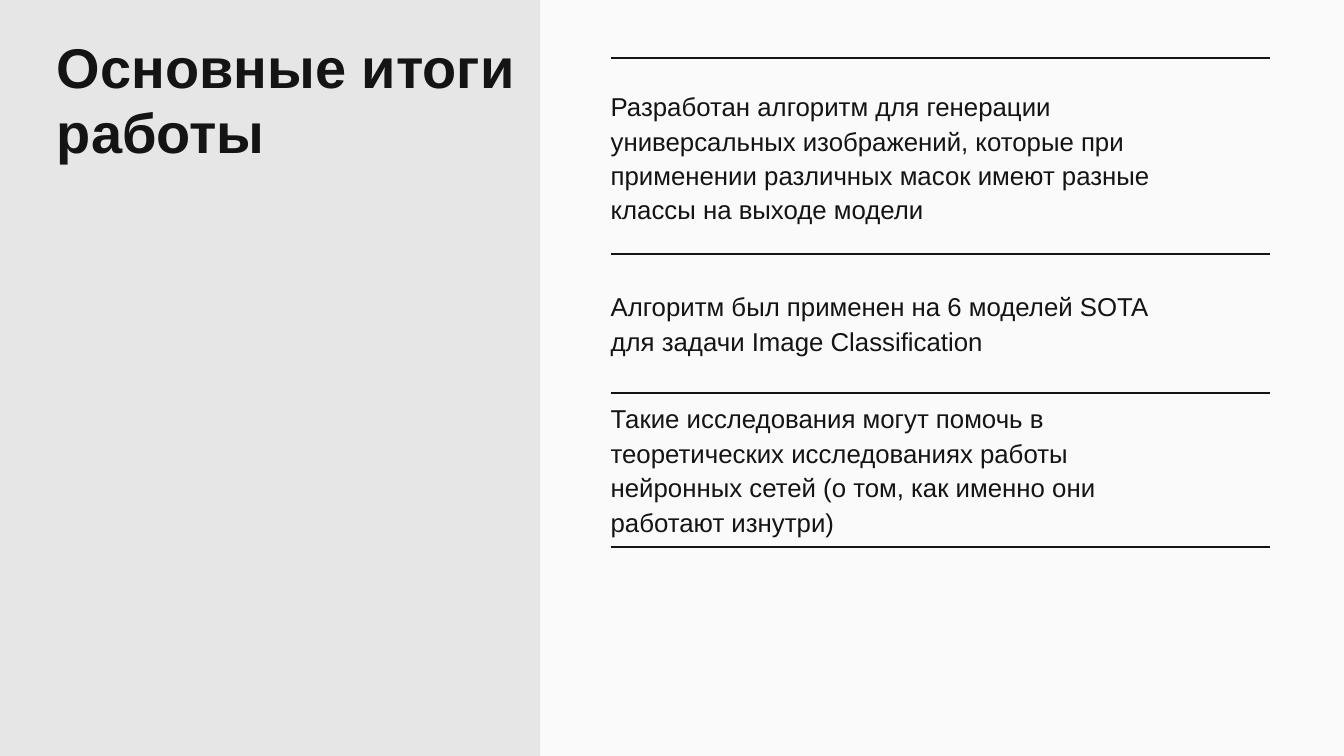
from lxml import etree
from pptx import Presentation
from pptx import util as u
from pptx.dml.color import RGBColor
from pptx.enum import shapes, text
from pptx.oxml.ns import qn

PX = u.Inches(1) // 100
WIDTH, HEIGHT = 2170, 1220
FINDINGS_LEFT = 986
RULE_RIGHT = 2051
RULE_TOPS = [94, 410, 634, 883]
FINDINGS = [
    (141, 221, "Разработан алгоритм для генерации универсальных изображений, "
     "которые при применении различных масок имеют разные классы на выходе модели"),
    (464, 107, "Алгоритм был применен на 6 моделей SOTA для задачи Image Classification"),
    (645, 219, "Такие исследования могут помочь в теоретических исследованиях работы "
     "нейронных сетей (о том, как именно они работают изнутри)"),
]


def color(value):
    return RGBColor.from_string(value)


def write(frame, content, size, spacing, ink, font="Arial", bold=False, after=0):
    """Fill a text frame, one paragraph per line of content."""
    for index, line in enumerate(content.split("\n")):
        paragraph = frame.add_paragraph() if index else frame.paragraphs[0]
        paragraph.line_spacing = u.Pt(spacing)
        paragraph.space_after = u.Pt(after)
        run = paragraph.add_run()
        run.text = line
        run.font.name = font
        run.font.size = u.Pt(size)
        run.font.bold = bold
        run.font.color.rgb = color(ink)


class SlideBuilder:
    INK = "141414"
    PANEL = "E6E6E6"
    BACKGROUND = "FAFAFA"

    def __init__(self, presentation):
        self.slide = presentation.slides.add_slide(presentation.slide_layouts[6])
        fill = self.slide.background.fill
        fill.solid()
        fill.fore_color.rgb = color(self.BACKGROUND)

    def panel(self, left, top, width, height):
        shape = self.slide.shapes.add_shape(
            shapes.MSO_SHAPE.RECTANGLE, left * PX, top * PX, width * PX, height * PX)
        shape.shadow.inherit = False
        shape.fill.solid()
        shape.fill.fore_color.rgb = color(self.PANEL)
        shape.line.fill.background()

    def rule(self, left, right, top):
        line = self.slide.shapes.add_connector(
            shapes.MSO_CONNECTOR.STRAIGHT, left * PX, top * PX, right * PX, top * PX)
        line.line.color.rgb = color(self.INK)
        line.line.width = u.Pt(2)
        etree.SubElement(line._element.spPr, qn("a:effectLst"))

    def text_box(self, left, top, width, height, content,
                 anchor=text.MSO_ANCHOR.TOP, **style):
        box = self.slide.shapes.add_textbox(left * PX, top * PX, width * PX, height * PX)
        frame = box.text_frame
        frame.word_wrap = True
        frame.vertical_anchor = anchor
        frame.margin_left = frame.margin_right = 0
        frame.margin_top = frame.margin_bottom = 0
        write(frame, content, ink=self.INK, **style)


def main():
    presentation = Presentation()
    presentation.slide_width = WIDTH * PX
    presentation.slide_height = HEIGHT * PX
    builder = SlideBuilder(presentation)

    builder.panel(0, 0, 872, HEIGHT)
    builder.text_box(92, 56, 832, 210, "Основные итоги\nработы",
                     anchor=text.MSO_ANCHOR.MIDDLE, size=65, spacing=75, bold=True)
    for top in RULE_TOPS:
        builder.rule(FINDINGS_LEFT, RULE_RIGHT, top)
    for top, height, finding in FINDINGS:
        builder.text_box(FINDINGS_LEFT, top, 917, height, finding,
                         size=30, spacing=40, after=30)

    presentation.save("out.pptx")


if __name__ == "__main__":
    main()
